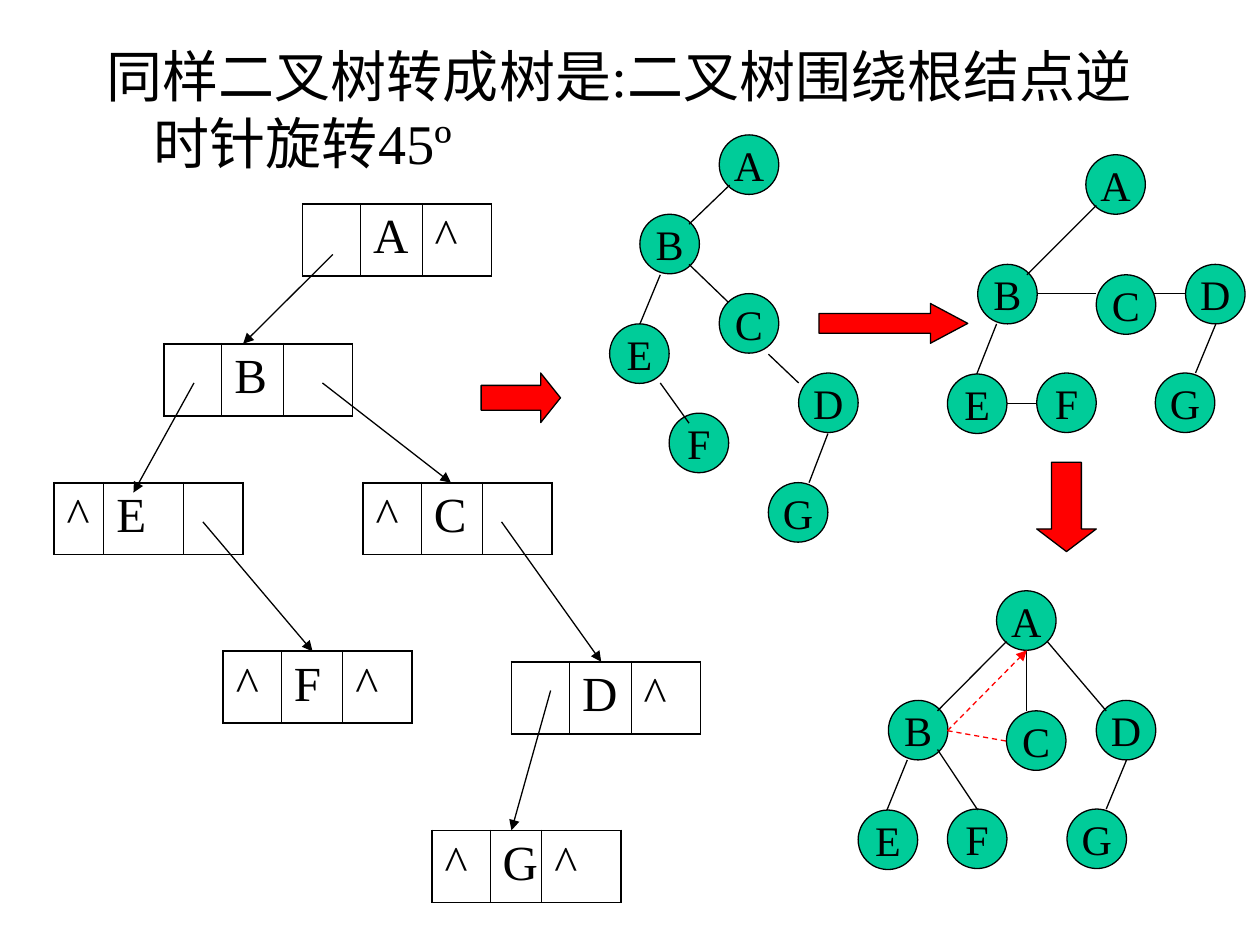
from dataclasses import dataclass

from lxml import etree
from pptx import Presentation
from pptx.dml.color import RGBColor
from pptx.enum.dml import MSO_LINE
from pptx.enum.shapes import MSO_CONNECTOR, MSO_SHAPE
from pptx.enum.text import MSO_ANCHOR, MSO_AUTO_SIZE, PP_ALIGN
from pptx.oxml.ns import qn
from pptx.slide import Slide
from pptx.util import Cm, Pt

STRAIGHT = MSO_CONNECTOR.STRAIGHT
OVAL = MSO_SHAPE.OVAL
RIGHT_ARROW, DOWN_ARROW = MSO_SHAPE.RIGHT_ARROW, MSO_SHAPE.DOWN_ARROW
DASH = MSO_LINE.DASH
TOP, MIDDLE = MSO_ANCHOR.TOP, MSO_ANCHOR.MIDDLE
LEFT, CENTER = PP_ALIGN.LEFT, PP_ALIGN.CENTER
NO_FIT = MSO_AUTO_SIZE.NONE

COLORS = {"ink": "000000", "node": "00CC99", "accent": "FF0000"}
FONT = "Times New Roman"
NODE_SIZE = 1.2
RECORD_HEIGHT = 1.45
RECORD_COLS = (1.17, 1.24, 1.4)
OUTER, INNER = 1.08, 0.45


@dataclass
class Node:
    label: str
    x: float
    y: float


@dataclass
class Edge:
    x1: float
    y1: float
    x2: float
    y2: float
    color: str = "ink"
    dashed: bool = False
    arrow: bool = False


@dataclass
class Tree:
    nodes: list[Node]
    edges: list[Edge]


@dataclass
class Record:
    cells: tuple[str, str, str]
    x: float
    y: float
    cols: tuple[float, float, float] = RECORD_COLS


@dataclass
class BlockArrow:
    kind: MSO_SHAPE
    x: float
    y: float
    w: float
    h: float
    head: float


RECORDS = [
    Record(("", "A", "^"), 6.1, 4.11),
    Record(("", "B", ""), 3.3, 6.93),
    Record(("^", "E", ""), 1.09, 9.73, (1, 1.6, 1.21)),
    Record(("^", "C", ""), 7.32, 9.73),
    Record(("^", "F", "^"), 4.5, 13.13),
    Record(("", "D", "^"), 10.31, 13.34),
    Record(("^", "G", "^"), 8.71, 16.74, (1.17, 1.04, 1.6)),
]
POINTERS = [
    Edge(6.71, 5.13, 4.9, 6.93, arrow=True),
    Edge(3.91, 7.72, 2.69, 9.93, arrow=True),
    Edge(6.5, 7.72, 9.09, 9.73, arrow=True),
    Edge(4.09, 10.52, 6.3, 13.13, arrow=True),
    Edge(10.11, 10.52, 12.12, 13.34, arrow=True),
    Edge(11.1, 13.92, 10.31, 16.74, arrow=True),
]
BINARY_TREE = Tree(
    [Node("A", 14.5, 2.72), Node("B", 12.9, 4.32), Node("D", 16.1, 7.52),
     Node("E", 12.29, 6.53), Node("F", 13.49, 8.33), Node("G", 15.49, 9.73),
     Node("C", 14.5, 5.92)],
    [Edge(14.71, 3.73, 13.89, 4.52), Edge(13.31, 5.54, 12.9, 6.53),
     Edge(13.31, 7.72, 13.89, 8.53), Edge(16.69, 8.74, 16.31, 9.73),
     Edge(13.89, 5.33, 14.71, 6.12), Edge(15.49, 7.14, 16.1, 7.72)],
)
ROTATED_TREE = Tree(
    [Node("A", 21.89, 3.12), Node("B", 19.71, 5.33), Node("D", 23.9, 5.33),
     Node("E", 19.1, 7.54), Node("F", 20.9, 7.52), Node("G", 23.29, 7.52),
     Node("C", 22.1, 5.54)],
    [Edge(22.1, 4.14, 20.7, 5.54), Edge(23.11, 5.92, 23.9, 5.92),
     Edge(20.09, 6.53, 19.69, 7.54), Edge(20.29, 8.13, 20.9, 8.13),
     Edge(24.51, 6.53, 24.1, 7.52), Edge(20.9, 5.92, 22.1, 5.92)],
)
GENERAL_TREE = Tree(
    [Node("A", 20.09, 11.91), Node("B", 17.91, 14.12), Node("D", 22.1, 14.12),
     Node("E", 17.3, 16.33), Node("F", 19.1, 16.31), Node("G", 21.51, 16.31),
     Node("C", 20.29, 14.33)],
    [Edge(20.29, 12.93, 18.9, 14.33), Edge(21.11, 12.93, 22.3, 14.33),
     Edge(18.29, 15.32, 17.88, 16.33), Edge(18.9, 15.11, 19.71, 16.33),
     Edge(22.71, 15.32, 22.3, 16.31), Edge(20.7, 13.11, 20.7, 14.33),
     Edge(19.1, 14.73, 20.29, 14.94, "accent", dashed=True),
     Edge(19.1, 14.73, 20.7, 13.11, "accent", dashed=True, arrow=True)],
)
BLOCK_ARROWS = [
    BlockArrow(RIGHT_ARROW, 9.7, 7.52, 1.6, 1, 0.4),
    BlockArrow(RIGHT_ARROW, 16.51, 6.12, 3, 0.8, 0.94),
    BlockArrow(DOWN_ARROW, 20.9, 9.32, 1.2, 1.8, 0.38),
]


def rgb(name: str) -> RGBColor:
    return RGBColor.from_string(COLORS[name])


def format_paragraph(p, size: float, align=LEFT) -> None:
    p.alignment = align
    p.font.name = FONT
    p.font.size = Pt(size)
    p.font.color.rgb = rgb("ink")


def draw_shape(s: Slide, kind, x: float, y: float, w: float, h: float, fill: str):
    sp = s.shapes.add_shape(kind, Cm(x), Cm(y), Cm(w), Cm(h))
    sp.shadow.inherit = False
    sp.fill.solid()
    sp.fill.fore_color.rgb = rgb(fill)
    sp.line.color.rgb = rgb("ink")
    sp.line.width = Pt(0.75)
    return sp


def draw_node(s: Slide, node: Node) -> None:
    sp = draw_shape(s, OVAL, node.x, node.y, NODE_SIZE, NODE_SIZE, "node")
    tf = sp.text_frame
    tf.word_wrap = False
    tf.vertical_anchor = MIDDLE
    tf.text = node.label
    format_paragraph(tf.paragraphs[0], 24, CENTER)


def draw_edge(s: Slide, edge: Edge) -> None:
    c = s.shapes.add_connector(STRAIGHT, Cm(edge.x1), Cm(edge.y1), Cm(edge.x2), Cm(edge.y2))
    c.line.color.rgb = rgb(edge.color)
    c.line.width = Pt(0.75)
    if edge.dashed:
        c.line.dash_style = DASH
    sp_pr = c._element.spPr
    if edge.arrow:
        etree.SubElement(sp_pr.find(qn("a:ln")), qn("a:tailEnd"), type="triangle")
    etree.SubElement(sp_pr, qn("a:effectLst"))


def draw_tree(s: Slide, tree: Tree) -> None:
    *back, front = tree.nodes
    for node in back:
        draw_node(s, node)
    for edge in tree.edges:
        draw_edge(s, edge)
    draw_node(s, front)


def set_borders(cell, widths: dict[str, float]) -> None:
    tc_pr = cell._tc.get_or_add_tcPr()
    for side, width in widths.items():
        ln = etree.SubElement(tc_pr, qn(f"a:ln{side}"), w=str(Pt(width)))
        fill = etree.SubElement(ln, qn("a:solidFill"))
        etree.SubElement(fill, qn("a:srgbClr"), val=COLORS["ink"])


def draw_record(s: Slide, record: Record) -> None:
    frame = s.shapes.add_table(1, 3, Cm(record.x), Cm(record.y),
                               Cm(sum(record.cols)), Cm(RECORD_HEIGHT))
    table = frame.table
    table.first_row = table.horz_banding = False
    for i, (text, width) in enumerate(zip(record.cells, record.cols)):
        table.columns[i].width = Cm(width)
        cell = table.cell(0, i)
        set_borders(cell, {"L": INNER if i else OUTER, "R": INNER if i < 2 else OUTER,
                           "T": OUTER, "B": OUTER})
        cell.fill.background()
        cell.text = text
        format_paragraph(cell.text_frame.paragraphs[0], 28)


def draw_block_arrow(s: Slide, arrow: BlockArrow) -> None:
    sp = draw_shape(s, arrow.kind, arrow.x, arrow.y, arrow.w, arrow.h, "accent")
    sp.adjustments[1] = arrow.head


def write_title(s: Slide, text: str) -> None:
    sp = s.shapes.title
    sp.left, sp.top, sp.width, sp.height = Cm(1.9), Cm(0.71), Cm(21.6), Cm(3)
    tf = sp.text_frame
    tf.auto_size = NO_FIT
    tf.word_wrap = True
    tf.vertical_anchor = TOP
    tf.text = text
    p = tf.paragraphs[0]
    p_pr = p._p.get_or_add_pPr()
    p_pr.set("marL", str(Cm(0.95)))
    p_pr.set("indent", str(Cm(-0.95)))
    format_paragraph(p, 32)


def main() -> None:
    prs = Presentation()
    prs.slide_width, prs.slide_height = Cm(25.4), Cm(19.05)
    s = prs.slides.add_slide(prs.slide_layouts[5])
    write_title(s, "同样二叉树转成树是:二叉树围绕根结点逆时针旋转45º")
    for record in RECORDS:
        draw_record(s, record)
    for pointer in POINTERS:
        draw_edge(s, pointer)
    for tree in (BINARY_TREE, ROTATED_TREE, GENERAL_TREE):
        draw_tree(s, tree)
    for arrow in BLOCK_ARROWS:
        draw_block_arrow(s, arrow)
    prs.save("out.pptx")


if __name__ == "__main__":
    main()
